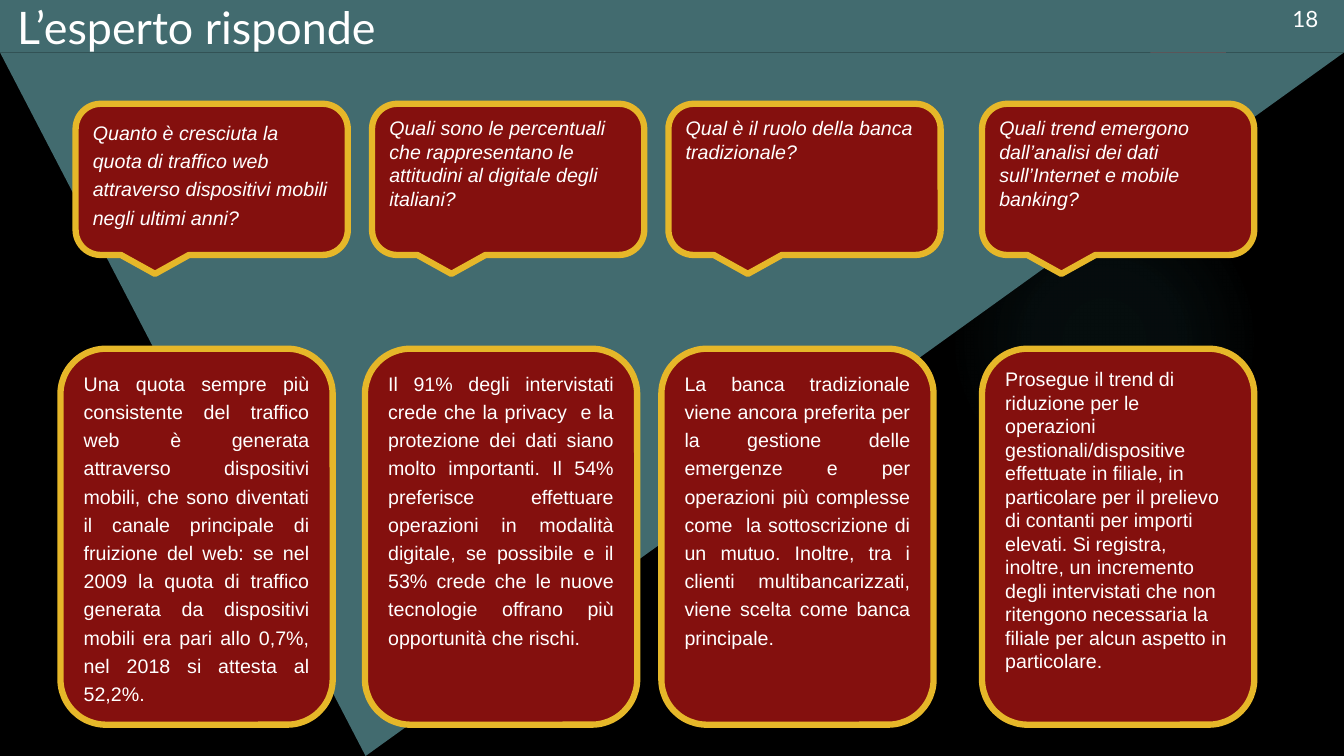
from lxml import etree
from pptx import Presentation
from pptx.dml.color import RGBColor
from pptx.enum.shapes import MSO_SHAPE
from pptx.enum.text import MSO_ANCHOR, MSO_AUTO_SIZE, PP_ALIGN
from pptx.oxml import parse_xml
from pptx.oxml.ns import nsdecls, qn
from pptx.util import Inches, Pt

TOP, MIDDLE = MSO_ANCHOR.TOP, MSO_ANCHOR.MIDDLE
LEFT, JUSTIFY = PP_ALIGN.LEFT, PP_ALIGN.JUSTIFY
CALLOUT, ROUNDED = MSO_SHAPE.ROUNDED_RECTANGULAR_CALLOUT, MSO_SHAPE.ROUNDED_RECTANGLE
WHITE, TEAL, RED, GOLD = "FFFFFF", "426B6F", "84100E", "E6B729"
BAND_HEIGHT = 0.52


def add_block(kind, left, top, width, height, fill, border=None):
    shape = slide.shapes.add_shape(
        kind, Inches(left), Inches(top), Inches(width), Inches(height))
    shape.shadow.inherit = False
    shape.fill.solid()
    shape.fill.fore_color.rgb = RGBColor.from_string(fill)
    if border:
        shape.line.color.rgb = RGBColor.from_string(border)
        shape.line.width = Pt(4.5)
    else:
        shape.line.fill.background()
    return shape


def write_text(shape, text, size, font, alignment=LEFT, spacing=None, italic=False):
    frame = shape.text_frame
    frame.word_wrap = True
    frame.auto_size = MSO_AUTO_SIZE.NONE
    frame.vertical_anchor = TOP
    paragraph = frame.paragraphs[0]
    paragraph.alignment = alignment
    if spacing:
        paragraph.line_spacing = spacing
    run = paragraph.add_run()
    run.text = text
    run.font.size = Pt(size)
    run.font.name = font
    run.font.italic = italic
    run.font.color.rgb = RGBColor.from_string(WHITE)


presentation = Presentation()
presentation.slide_width = Inches(13.33)
presentation.slide_height = Inches(7.5)
slide = presentation.slides.add_slide(presentation.slide_layouts[5])
slide.background.fill.solid()
slide.background.fill.fore_color.rgb = RGBColor.from_string("000000")

# Faint round glow, fading out from its centre
glow = add_block(MSO_SHAPE.OVAL, 9.41, 1.83, 3.08, 3.08, "50B9C1")
gradient = parse_xml(
    f'<a:gradFill {nsdecls("a")}><a:gsLst/><a:path path="circle">'
    '<a:fillToRect l="50000" t="50000" r="50000" b="50000"/></a:path></a:gradFill>')
for position, opacity in ((0, 7), (36, 6), (69, 0)):
    stop = etree.SubElement(gradient[0], qn("a:gs"), pos=str(position * 1000))
    color = etree.SubElement(stop, qn("a:srgbClr"), val="50B9C1")
    etree.SubElement(color, qn("a:alpha"), val=str(opacity * 1000))
properties = glow.fill._xPr
properties.replace(properties.find(qn("a:solidFill")), gradient)

# Red tab under the band, large triangle, band
add_block(MSO_SHAPE.RECTANGLE, 11.41, 0.51, 0.75, 0.02, "B01513")
triangle = add_block(MSO_SHAPE.ISOSCELES_TRIANGLE, 0, BAND_HEIGHT, 13.33, 6.98, TEAL)
triangle.adjustments[0] = 0.728
triangle.rotation = 180
add_block(MSO_SHAPE.RECTANGLE, 0, 0, 13.33, BAND_HEIGHT, TEAL)

page_number = slide.shapes.add_textbox(Inches(12.72), 0, Inches(0.55), Inches(0.37))
write_text(page_number, "18", 16, "Lato")

# The title fills the band and stands in front of it
title = slide.shapes.title
title.left, title.top = Inches(0.07), 0
title.width, title.height = Inches(12.57), Inches(BAND_HEIGHT)
write_text(title, "L’esperto risponde", 32, "Lato")
title.text_frame.vertical_anchor = MIDDLE
title.text_frame.margin_top = title.text_frame.margin_bottom = 0
slide.shapes._spTree.append(title._element)

# Question left, question spacing, question, answer left, answer alignment, answer spacing, answer
exchanges = [
    (0.75, 1.2,
     "Quanto è cresciuta la quota di traffico web attraverso dispositivi mobili "
     "negli ultimi anni?",
     0.6, JUSTIFY, 1.2,
     "Una quota sempre più consistente del traffico web è generata attraverso "
     "dispositivi mobili, che sono diventati il canale principale di fruizione del web: "
     "se nel 2009 la quota di traffico generata da dispositivi mobili era pari allo 0,7%, "
     "nel 2018 si attesta al 52,2%."),
    (3.69, None,
     "Quali sono le percentuali che rappresentano le attitudini al digitale degli italiani?",
     3.62, JUSTIFY, 1.2,
     "Il 91% degli intervistati crede che la privacy  e la protezione dei dati siano molto "
     "importanti. Il 54% preferisce effettuare operazioni in modalità digitale, se possibile "
     "e il 53% crede che le nuove tecnologie offrano più opportunità che rischi."),
    (6.63, None,
     "Qual è il ruolo della banca tradizionale?",
     6.56, JUSTIFY, 1.2,
     "La banca tradizionale viene ancora preferita per la gestione delle emergenze e per "
     "operazioni più complesse come  la sottoscrizione di un mutuo. Inoltre, tra i clienti "
     "multibancarizzati, viene scelta come banca principale."),
    (9.74, None,
     "Quali trend emergono dall’analisi dei dati sull’Internet e mobile banking?",
     9.74, LEFT, None,
     "Prosegue il trend di riduzione per le operazioni gestionali/dispositive effettuate in "
     "filiale, in particolare per il prelievo di contanti per importi elevati. Si registra, "
     "inoltre, un incremento degli intervistati che non ritengono necessaria la filiale per "
     "alcun aspetto in particolare."),
]
for (question_left, question_spacing, question,
     answer_left, answer_alignment, answer_spacing, answer) in exchanges:
    callout = add_block(CALLOUT, question_left, 1.03, 2.7, 1.5, RED, GOLD)
    write_text(callout, question, 14, "Arial", spacing=question_spacing, italic=True)
    panel = add_block(ROUNDED, answer_left, 3.46, 2.7, 3.73, RED, GOLD)
    write_text(panel, answer, 14, "Arial", answer_alignment, answer_spacing)

presentation.save("out.pptx")
